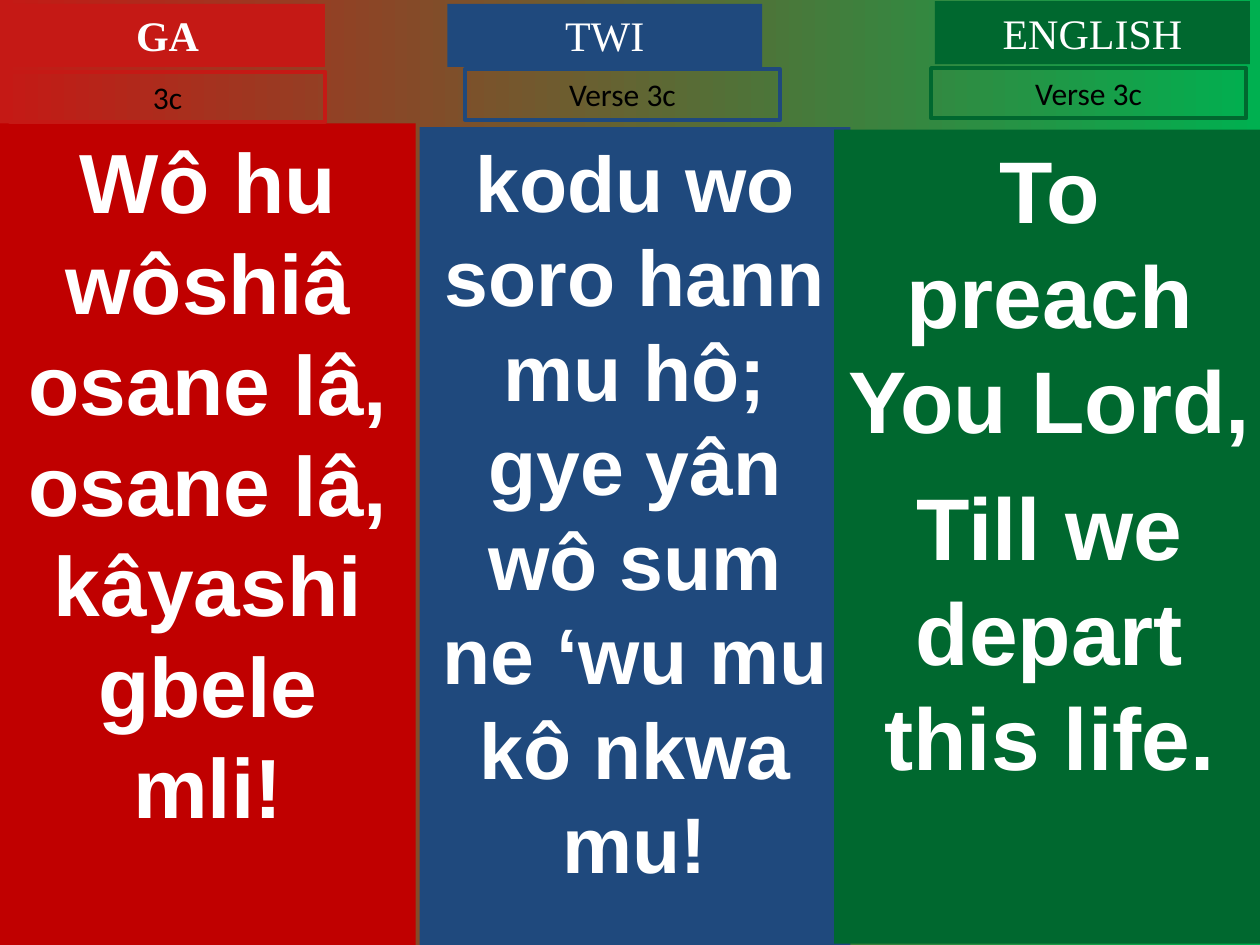
from pptx import Presentation
from pptx.dml.color import RGBColor
from pptx.enum.shapes import MSO_SHAPE
from pptx.enum.text import MSO_ANCHOR, PP_ALIGN
from pptx.util import Inches, Pt

RECTANGLE = MSO_SHAPE.RECTANGLE
TOP = MSO_ANCHOR.TOP
CENTER = PP_ALIGN.CENTER

WIDTH, HEIGHT = Inches(10), Inches(7.5)
SCARLET = RGBColor(0xC5, 0x19, 0x15)
RED = RGBColor(0xC0, 0x00, 0x00)
BLUE = RGBColor(0x1F, 0x49, 0x7D)
GREEN = RGBColor(0x00, 0x68, 0x2F)
BRIGHT_GREEN = RGBColor(0x00, 0xB0, 0x50)
WHITE = RGBColor(0xFF, 0xFF, 0xFF)
BLACK = RGBColor(0x00, 0x00, 0x00)

HEADING_SIZE = (25, 6.67)
LABEL_SIZE = (25, 5.33)
LINE_PITCH = 1.2

COLUMNS = [
    {
        "heading": ("GA", (0.8, 0.4), SCARLET, True),
        "label": ("3c", (0.8, 7.6), SCARLET),
        "verse": (["Wô hu wôshiâ osane lâ,", "osane lâ,", "kâyashi gbele mli!"],
                  (0, 13.07), (33, 86.93), RED, 48, 0),
    },
    {
        "heading": ("TWI", (35.5, 0.4), BLUE, False),
        "label": ("Verse 3c", (36.9, 7.33), BLUE),
        "verse": (["kodu wo soro hann mu hô;", "gye yân wô sum ne ‘wu mu kô nkwa mu!"],
                  (33.3, 13.47), (34.2, 86.53), BLUE, 45, 0),
    },
    {
        "heading": ("ENGLISH", (74.2, 0.13), GREEN, False),
        "label": ("Verse 3c", (73.9, 7.2), GREEN),
        "verse": (["To preach You Lord,", "Till we depart this life."],
                  (66.2, 13.73), (34.2, 86.13), GREEN, 50, 12.5),
    },
]


def paint_background(page):
    """Run a gradient from scarlet at the left to green at the right."""
    fill = page.background.fill
    fill.gradient()
    fill.gradient_angle = 0
    for stop, color, position in zip(fill.gradient_stops, (SCARLET, BRIGHT_GREEN), (0, 1)):
        stop.color.rgb = color
        stop.position = position


def add_box(page, corner, size):
    """Add a plain rectangle placed in percent of the slide's size."""
    left, top, width, height = (
        round(share * side / 100)
        for share, side in zip((*corner, *size), (WIDTH, HEIGHT) * 2)
    )
    box = page.shapes.add_shape(RECTANGLE, left, top, width, height)
    box.shadow.inherit = False
    return box


def fill_box(box, color):
    """Give the box a solid fill and no outline."""
    box.fill.solid()
    box.fill.fore_color.rgb = color
    box.line.fill.background()


def write_text(box, lines, font, size, color, bold=False, gap=0):
    """Write one centred paragraph per line, with a gap between paragraphs."""
    frame = box.text_frame
    frame.word_wrap = True
    frame.vertical_anchor = TOP
    values = {"name": font, "size": Pt(size), "bold": bold}
    for index, line in enumerate(lines):
        para = frame.add_paragraph() if index else frame.paragraphs[0]
        para.alignment = CENTER
        para.line_spacing = Pt(LINE_PITCH * size)
        para.space_before = Pt(gap if index else 0)
        span = para.add_run()
        span.text = line
        for name, value in values.items():
            setattr(span.font, name, value)
        span.font.color.rgb = color


def add_heading(page, title, corner, color, bold):
    """Add the filled bar that names the language."""
    box = add_box(page, corner, HEADING_SIZE)
    fill_box(box, color)
    write_text(box, [title], "Times New Roman", 24, WHITE, bold)


def add_label(page, title, corner, color):
    """Add the outlined verse number."""
    box = add_box(page, corner, LABEL_SIZE)
    box.fill.background()
    box.line.color.rgb = color
    box.line.width = Pt(2.25)
    write_text(box, [title], "Calibri", 18, BLACK)


def add_verse(page, lines, corner, size, color, points, gap):
    """Add the filled panel that holds the verse."""
    box = add_box(page, corner, size)
    fill_box(box, color)
    write_text(box, lines, "Arial", points, WHITE, True, gap)


def main():
    """Build the three-language verse slide."""
    deck = Presentation()
    deck.slide_width, deck.slide_height = WIDTH, HEIGHT
    page = deck.slides.add_slide(deck.slide_layouts[6])
    paint_background(page)
    for column in COLUMNS:
        add_verse(page, *column["verse"])
        add_heading(page, *column["heading"])
        add_label(page, *column["label"])
    deck.save("out.pptx")


if __name__ == "__main__":
    main()
